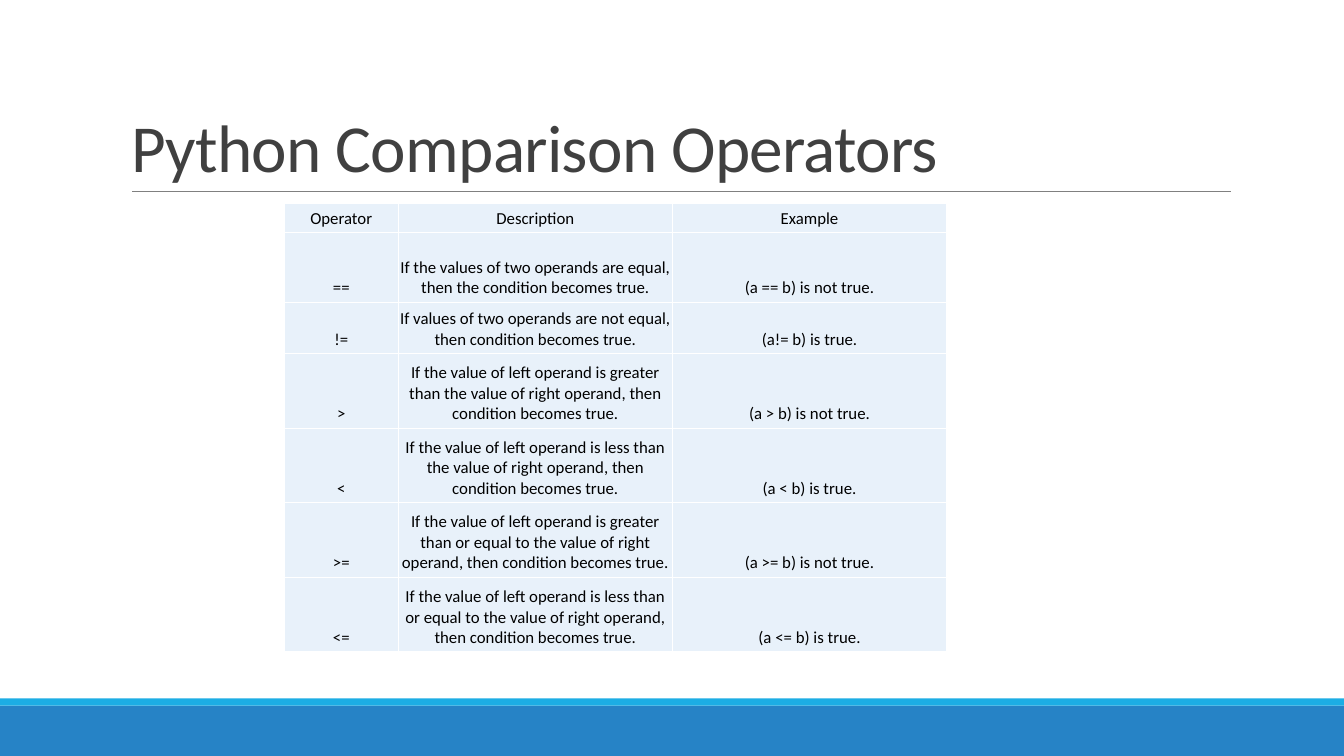
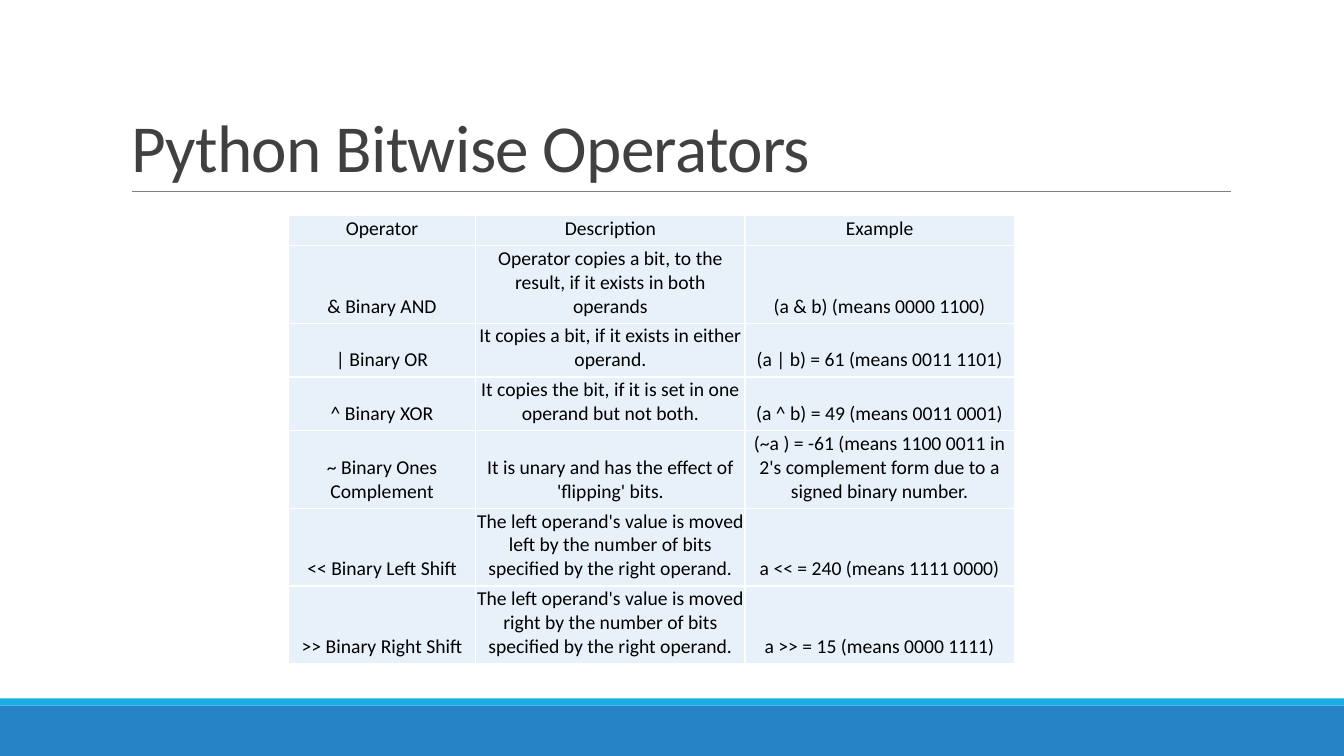
import pptx
import pptx.util
import pptx.dml.color
import pptx.enum.shapes
import pptx.enum.text
import pptx.oxml
import pptx.oxml.ns

HEADINGS = ("Operator", "Description", "Example")
TOPICS = [
    {
        "title": "Python Comparison Operators",
        "origin": (2.82, 2.02),
        "height": 4.46,
        "columns": (1.13, 2.72, 2.72),
        "rows": (0.29, 0.69, 0.51) + (0.74,) * 4,
        "size": 12,
        "bottom_inset": 0.04,
        "operators": [
            ("==", "If the values of two operands are equal, then the condition becomes true.",
             "(a == b) is not true."),
            ("!=", "If values of two operands are not equal, then condition becomes true.",
             "(a!= b) is true."),
            (">", "If the value of left operand is greater than the value of right operand, "
             "then condition becomes true.", "(a > b) is not true."),
            ("<", "If the value of left operand is less than the value of right operand, "
             "then condition becomes true.", "(a < b) is true."),
            (">=", "If the value of left operand is greater than or equal to the value of "
             "right operand, then condition becomes true.", "(a >= b) is not true."),
            ("<=", "If the value of left operand is less than or equal to the value of "
             "right operand, then condition becomes true.", "(a <= b) is true."),
        ],
    },
    {
        "title": "Python Bitwise Operators",
        "origin": (2.86, 2.14),
        "height": 4.62,
        "columns": (1.86, 2.67, 2.67),
        "rows": (0.21,) + (0.42,) * 3 + (0.62,) * 3,
        "size": 14,
        "bottom_inset": 0.05,
        "operators": [
            ("& Binary AND", "Operator copies a bit, to the result, if it exists in both operands",
             "(a & b) (means 0000 1100)"),
            ("| Binary OR", "It copies a bit, if it exists in either operand.",
             "(a | b) = 61 (means 0011 1101)"),
            ("^ Binary XOR", "It copies the bit, if it is set in one operand but not both.",
             "(a ^ b) = 49 (means 0011 0001)"),
            ("~ Binary Ones Complement", "It is unary and has the effect of 'flipping' bits.",
             "(~a ) = -61 (means 1100 0011 in 2's complement form due to a signed binary number."),
            ("<< Binary Left Shift", "The left operand's value is moved left by the number of "
             "bits specified by the right operand.", "a << = 240 (means 1111 0000)"),
            (">> Binary Right Shift", "The left operand's value is moved right by the number of "
             "bits specified by the right operand.", "a >> = 15 (means 0000 1111)"),
        ],
    },
]
COLORS = {"footer": "2683C6", "accent": "1CADE4", "rule": "808080", "title": "404040",
          "cell": "E8F1FA", "border": "FFFFFF", "text": "000000"}
FONT = "Calibri"
WIDTH, HEIGHT = 13.33, 7.5
BANDS = [("footer", 7, 0.5), ("accent", 6.93, 0.07)]
RULE = (1.31, 12.21, 1.9)
TITLE_BOX = {"left": 1.2, "top": 0.31, "width": 11, "height": 1.59}
SIDE_INSETS = {"margin_left": 0.01, "margin_right": 0.01, "margin_top": 0.01}

inch = pptx.util.Inches


def color(key):
    return pptx.dml.color.RGBColor.from_string(COLORS[key])


def apply(target, values):
    for key, value in values.items():
        setattr(target, key, value)


def style_font(font, size, key):
    apply(font, {"name": FONT, "size": pptx.util.Pt(size), "bold": False})
    font.color.rgb = color(key)


def add_frame(slide):
    for key, top, height in BANDS:
        band = slide.shapes.add_shape(pptx.enum.shapes.MSO_SHAPE.RECTANGLE,
                                      0, inch(top), inch(WIDTH), inch(height))
        band.shadow.inherit = False
        band.fill.solid()
        band.fill.fore_color.rgb = color(key)
        band.line.fill.background()
    start, end, level = RULE
    rule = slide.shapes.add_connector(pptx.enum.shapes.MSO_CONNECTOR.STRAIGHT,
                                      inch(start), inch(level), inch(end), inch(level))
    rule.line.color.rgb = color("rule")
    rule.line.width = pptx.util.Pt(0.5)
    rule._element.spPr.append(pptx.oxml.parse_xml(
        f'<a:effectLst {pptx.oxml.ns.nsdecls("a")}/>'))


def set_title(slide, wording):
    title = slide.shapes.title
    apply(title, {side: inch(length) for side, length in TITLE_BOX.items()})
    title.text = wording
    apply(title.text_frame, {"word_wrap": True,
                             "auto_size": pptx.enum.text.MSO_AUTO_SIZE.NONE,
                             "vertical_anchor": pptx.enum.text.MSO_ANCHOR.BOTTOM})
    heading = title.text_frame.paragraphs[0]
    apply(heading, {"alignment": pptx.enum.text.PP_ALIGN.LEFT, "line_spacing": 0.85})
    style_font(heading.runs[0].font, 48, "title")
    heading.runs[0]._r.get_or_add_rPr().set("spc", "-50")


def style_cell(cell, wording, topic):
    cell.text = wording
    apply(cell, {side: inch(inset) for side, inset in SIDE_INSETS.items()})
    apply(cell, {"margin_bottom": inch(topic["bottom_inset"]),
                 "vertical_anchor": pptx.enum.text.MSO_ANCHOR.BOTTOM})
    paragraph = cell.text_frame.paragraphs[0]
    paragraph.alignment = pptx.enum.text.PP_ALIGN.CENTER
    style_font(paragraph.runs[0].font, topic["size"], "text")
    cell.fill.solid()
    cell.fill.fore_color.rgb = color("cell")
    for position, side in enumerate("LRTB"):
        cell._tc.get_or_add_tcPr().insert(position, pptx.oxml.parse_xml(
            f'<a:ln{side} {pptx.oxml.ns.nsdecls("a")} w="12700"><a:solidFill>'
            f'<a:srgbClr val="{COLORS["border"]}"/></a:solidFill></a:ln{side}>'))


def add_operators(slide, topic):
    entries = [HEADINGS] + topic["operators"]
    left, top = topic["origin"]
    frame = slide.shapes.add_table(len(entries), len(HEADINGS), inch(left), inch(top),
                                   inch(sum(topic["columns"])), inch(topic["height"]))
    grid = frame.table
    apply(grid, {"first_row": False, "horz_banding": False})
    for column, width in zip(grid.columns, topic["columns"]):
        column.width = inch(width)
    for row, height, entry in zip(grid.rows, topic["rows"], entries):
        row.height = inch(height)
        for cell, wording in zip(row.cells, entry):
            style_cell(cell, wording, topic)
    frame.height = inch(topic["height"])


deck = pptx.Presentation()
apply(deck, {"slide_width": inch(WIDTH), "slide_height": inch(HEIGHT)})
for topic in TOPICS:
    slide = deck.slides.add_slide(deck.slide_layouts.get_by_name("Title Only"))
    add_frame(slide)
    set_title(slide, topic["title"])
    add_operators(slide, topic)
deck.save("out.pptx")
